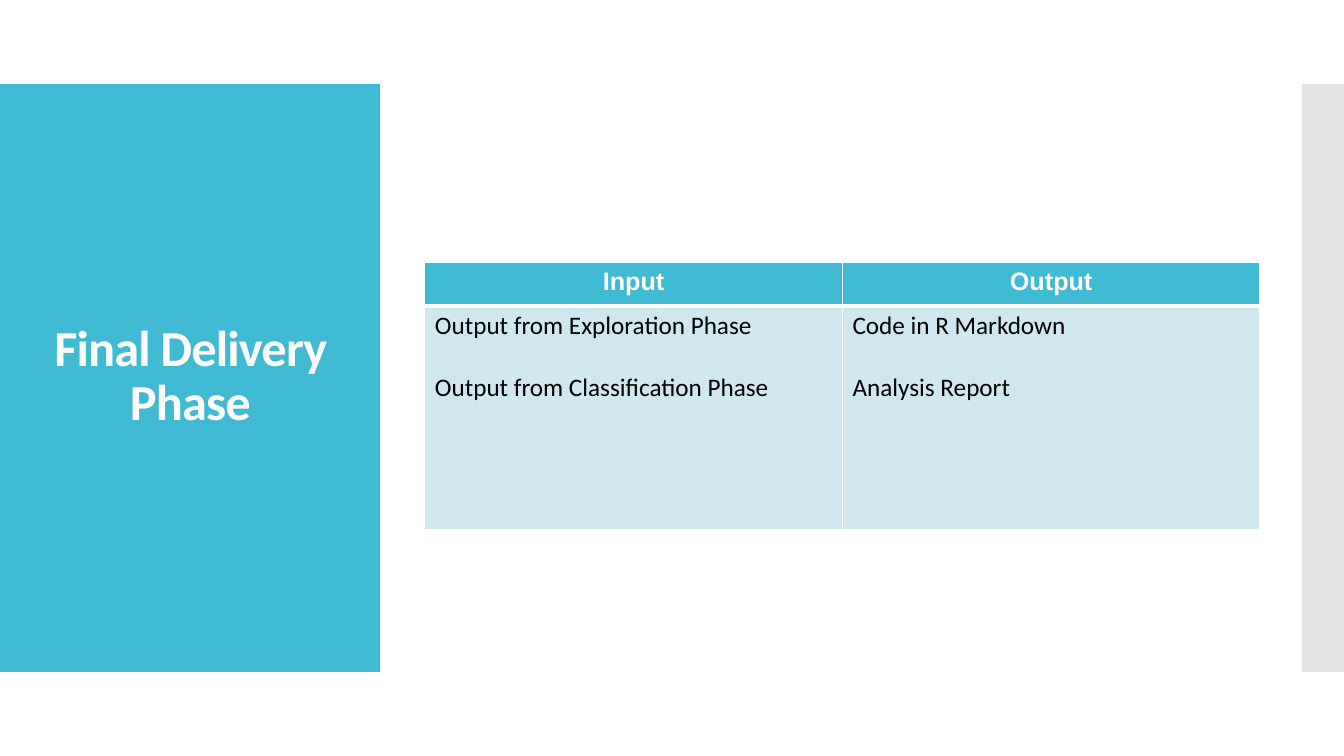
from lxml.etree import SubElement
from pptx import Presentation
from pptx.dml.color import RGBColor
from pptx.enum.shapes import MSO_SHAPE
from pptx.enum.text import MSO_ANCHOR, PP_ALIGN
from pptx.oxml.ns import qn
from pptx.util import Pt

TITLE = "Final Delivery Phase"
COLUMNS = {
    "Input": ["Output from Exploration Phase", "Output from Classification Phase"],
    "Output": ["Code in R Markdown", "Analysis Report"],
}

TEAL = RGBColor(0x40, 0xBA, 0xD2)
PALE_TEAL = RGBColor(0xCF, 0xE7, 0xEE)
GRAY = RGBColor(0xC8, 0xC8, 0xC8)
WHITE = RGBColor(0xFF, 0xFF, 0xFF)
BLACK = RGBColor(0x00, 0x00, 0x00)

SLIDE_WIDTH, SLIDE_HEIGHT = 960, 540
BAND_TOP, BAND_HEIGHT = 60, 420
TITLE_PANEL_WIDTH, EDGE_WIDTH = 271.5, 30
TABLE_LEFT, TABLE_TOP, COLUMN_WIDTH = 303.5, 187.5, 298.25
HEADER_HEIGHT, BODY_HEIGHT = 31, 160
ITEM_GAP = 22
THIN, THICK = 1, 3


def add_panel(slide, left, width, color):
    panel = slide.shapes.add_shape(
        MSO_SHAPE.RECTANGLE, Pt(left), Pt(BAND_TOP), Pt(width), Pt(BAND_HEIGHT))
    panel.shadow.inherit = False
    panel.fill.solid()
    panel.fill.fore_color.rgb = color
    panel.line.fill.background()
    return panel


def add_run(paragraph, text, size, font, color, bold=False):
    run = paragraph.add_run()
    run.text = text
    run.font.size = Pt(size)
    run.font.name = font
    run.font.color.rgb = color
    run.font.bold = bold
    return run


def add_title(slide):
    box = slide.shapes.add_textbox(Pt(20), Pt(88.5), Pt(232), Pt(362))
    frame = box.text_frame
    frame.word_wrap = True
    frame.vertical_anchor = MSO_ANCHOR.MIDDLE
    paragraph = frame.paragraphs[0]
    paragraph.alignment = PP_ALIGN.CENTER
    paragraph.line_spacing = 0.9
    run = add_run(paragraph, TITLE, 36, "Calibri", WHITE, bold=True)
    run.font._element.set("spc", "-60")


def style_cell(cell, fill, top, bottom):
    """Give the cell white borders, then its fill, in schema order."""
    properties = cell._tc.get_or_add_tcPr()
    for side, width in (("L", THIN), ("R", THIN), ("T", top), ("B", bottom)):
        line = SubElement(properties, qn(f"a:ln{side}"), w=str(Pt(width)))
        SubElement(SubElement(line, qn("a:solidFill")), qn("a:srgbClr"), val=str(WHITE))
    cell.fill.solid()
    cell.fill.fore_color.rgb = fill


def add_phase_table(slide):
    count = len(COLUMNS)
    table = slide.shapes.add_table(
        2, count, Pt(TABLE_LEFT), Pt(TABLE_TOP),
        Pt(COLUMN_WIDTH * count), Pt(HEADER_HEIGHT + BODY_HEIGHT)).table
    table.rows[0].height = Pt(HEADER_HEIGHT)
    table.rows[1].height = Pt(BODY_HEIGHT)
    for index, (heading, items) in enumerate(COLUMNS.items()):
        table.columns[index].width = Pt(COLUMN_WIDTH)
        header, body = table.cell(0, index), table.cell(1, index)
        style_cell(header, TEAL, THIN, THICK)
        style_cell(body, PALE_TEAL, THICK, THIN)

        paragraph = header.text_frame.paragraphs[0]
        paragraph.alignment = PP_ALIGN.CENTER
        add_run(paragraph, heading, 18, "Arial", WHITE, bold=True)

        frame = body.text_frame
        for position, item in enumerate(items):
            paragraph = frame.add_paragraph() if position else frame.paragraphs[0]
            paragraph.space_before = Pt(ITEM_GAP if position else 0)
            add_run(paragraph, item, 18, "Calibri", BLACK)


def main():
    presentation = Presentation()
    presentation.slide_width = Pt(SLIDE_WIDTH)
    presentation.slide_height = Pt(SLIDE_HEIGHT)
    slide = presentation.slides.add_slide(presentation.slide_layouts[6])

    add_panel(slide, 0, TITLE_PANEL_WIDTH, TEAL)
    edge = add_panel(slide, SLIDE_WIDTH - EDGE_WIDTH, EDGE_WIDTH, GRAY)
    edge_color = edge._element.spPr.find(qn("a:solidFill")).find(qn("a:srgbClr"))
    SubElement(edge_color, qn("a:alpha"), val="50000")
    add_title(slide)
    add_phase_table(slide)
    presentation.save("out.pptx")


if __name__ == "__main__":
    main()
